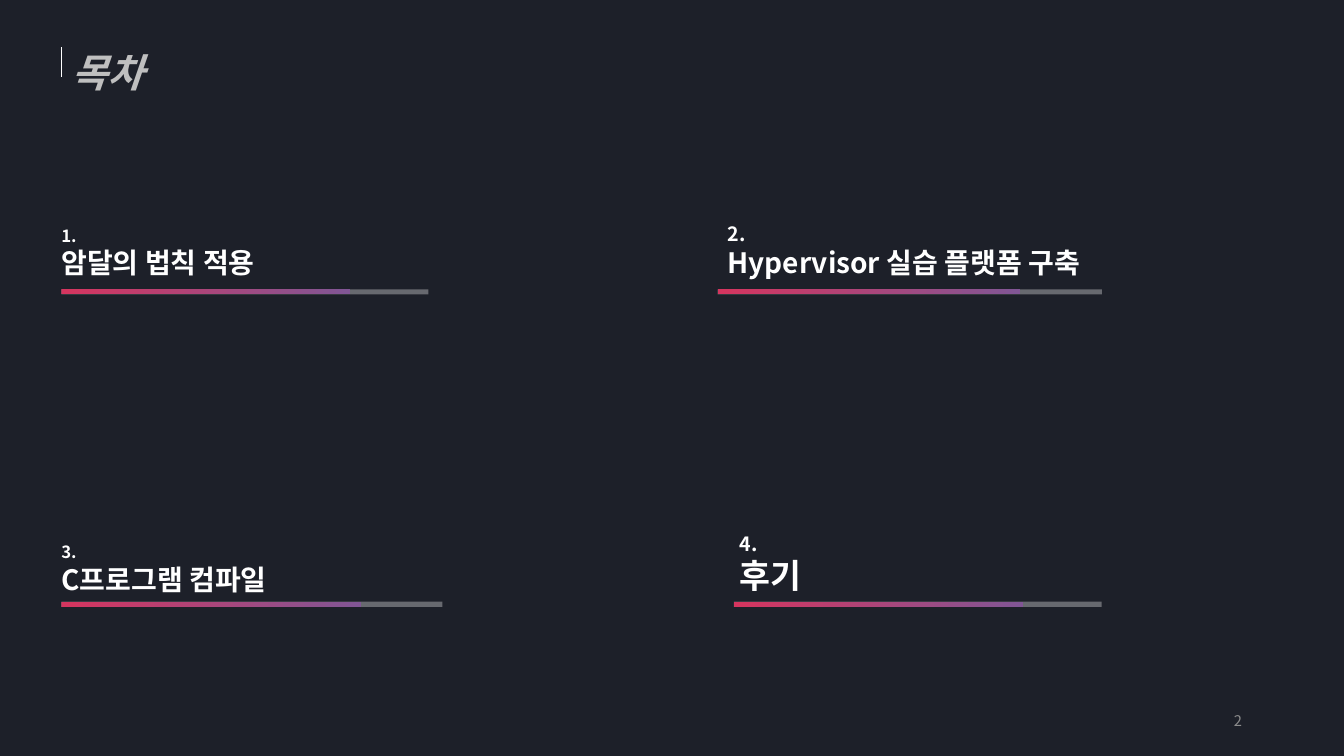
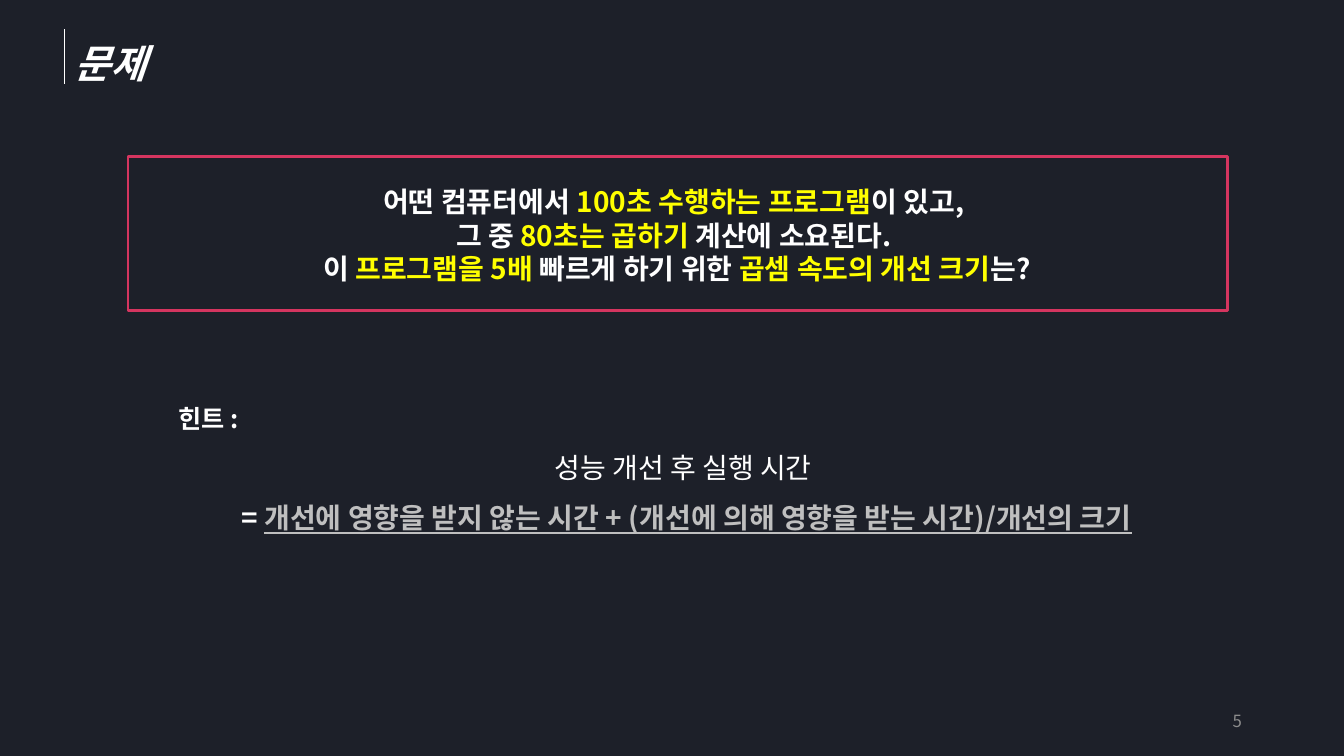
from lxml.etree import SubElement
from pptx import Presentation
from pptx.dml.color import RGBColor
from pptx.enum.shapes import MSO_CONNECTOR, MSO_SHAPE
from pptx.enum.text import MSO_ANCHOR, PP_ALIGN
from pptx.oxml.ns import qn
from pptx.util import Inches, Pt

WIDTH, HEIGHT = Inches(13.333), Inches(7.5)
FONT = "Noto Sans CJK KR"
NIGHT = RGBColor(0x1D, 0x20, 0x29)
WHITE = RGBColor(0xFF, 0xFF, 0xFF)
SILVER = RGBColor(0xBF, 0xBF, 0xBF)
GREY = RGBColor(0x8C, 0x8C, 0x8C)
YELLOW = RGBColor(0xFF, 0xFF, 0x00)
ROSE = RGBColor(0xD5, 0x35, 0x5F)
PURPLE = RGBColor(0x81, 0x56, 0x95)
LOOSE = 1.5
BAR_HEIGHT = 0.67
BAR_DONE = 0.787


def across(percent):
    return round(WIDTH * percent / 100)


def down(percent):
    return round(HEIGHT * percent / 100)


def area(left, top, width, height):
    """Turn percentages of the slide into a position and a size."""
    return across(left), down(top), across(width), down(height)


def add_page(deck):
    page = deck.slides.add_slide(deck.slide_layouts[6])
    page.background.fill.solid()
    page.background.fill.fore_color.rgb = NIGHT
    return page


def add_text(page, place, anchor=MSO_ANCHOR.TOP):
    frame = page.shapes.add_textbox(*area(*place)).text_frame
    frame.word_wrap = True
    frame.vertical_anchor = anchor
    return frame


def add_para(frame, spans, size, bold=True, italic=False,
             align=PP_ALIGN.LEFT, spacing=1.0):
    """Write spans of (text, colour) or (text, colour, underline)."""
    first = frame.paragraphs[0]
    para = frame.add_paragraph() if first.runs else first
    para.alignment = align
    para.line_spacing = spacing
    for text, colour, *underline in spans:
        span = para.add_run()
        span.text = text
        font = span.font
        font.name, font.size = FONT, Pt(size)
        font.bold, font.italic = bold, italic
        font.underline = bool(underline and underline[0])
        font.color.rgb = colour
        SubElement(font._element, qn("a:ea")).set("typeface", FONT)


def add_title(page, text, colour, left, top, rule_top, rule_bottom):
    frame = add_text(page, (left, top, 34.7, 9.6))
    add_para(frame, [(text, colour)], 28, italic=True, spacing=LOOSE)
    rule = page.shapes.add_connector(
        MSO_CONNECTOR.STRAIGHT, across(left), down(rule_top),
        across(left), down(rule_bottom))
    rule.line.color.rgb = WHITE
    rule.line.width = Pt(0.5)
    SubElement(rule._element.spPr, qn("a:effectLst"))


def add_page_number(page, number, size):
    frame = add_text(page, (70.65, 92.67, 22.5, 5.33), MSO_ANCHOR.MIDDLE)
    add_para(frame, [(number, GREY)], size, bold=False, align=PP_ALIGN.RIGHT)


def add_box(shapes, place):
    box = shapes.add_shape(MSO_SHAPE.RECTANGLE, *area(*place))
    box.shadow.inherit = False
    box.line.fill.background()
    return box


def add_bar(page, left, top, width):
    """Draw a faint track with a gradient over its first part."""
    shapes = page.shapes.add_group_shape().shapes
    track = add_box(shapes, (left, top, width, BAR_HEIGHT))
    track.fill.solid()
    track.fill.fore_color.rgb = WHITE
    colour = track._element.spPr.find(".//" + qn("a:srgbClr"))
    SubElement(colour, qn("a:alpha")).set("val", "33000")

    done = add_box(shapes, (left, top, width * BAR_DONE, BAR_HEIGHT))
    done.fill.gradient()
    done.fill.gradient_angle = 0
    for stop, shade in zip(done.fill.gradient_stops, (ROSE, PURPLE)):
        stop.color.rgb = shade


def add_chapter(page, number, name, place, sizes, bar):
    frame = add_text(page, place)
    add_para(frame, [(number, WHITE)], sizes[0], spacing=LOOSE)
    add_para(frame, [(name, WHITE)], sizes[1])
    add_bar(page, *bar)


def build_contents(deck):
    page = add_page(deck)
    upper, lower = 38.27, 79.6
    chapters = [
        ("1.", "암달의 법칙 적용", (3.83, 27.87, 47.18, 9.87), (12, 20),
         (4.57, upper, 27.3)),
        ("2.", "Hypervisor 실습 플랫폼 구축", (53.4, 27.2, 40.8, 10.53), (14, 20),
         (53.4, upper, 28.58)),
        ("3.", "C프로그램 컴파일", (3.83, 69.73, 47.18, 9.87), (12, 20),
         (4.57, lower, 28.35)),
        ("4.", "후기", (54.3, 68.13, 44.33, 11.47), (14, 24),
         (54.6, lower, 27.38)),
    ]
    for chapter in chapters:
        add_chapter(page, *chapter)
    add_title(page, "목차", SILVER, 4.57, 2.67, 6.27, 10.13)
    add_page_number(page, "2", 10.5)


def build_problem(deck):
    page = add_page(deck)
    add_title(page, "문제", WHITE, 4.8, 1.47, 3.87, 11.07)

    border = add_box(page.shapes, (9.53, 20.67, 81.83, 20.4))
    border.fill.background()
    border.line.color.rgb = ROSE
    border.line.width = Pt(2)

    question = add_text(page, (10.5, 23.73, 79.73, 14.8))
    for spans in (
        [("어떤 컴퓨터에서 ", WHITE), ("100초 수행하는 프로그램", YELLOW),
         ("이 있고, ", WHITE)],
        [("그 중 ", WHITE), ("80초는 곱하기 ", YELLOW),
         ("계산에 소요된다. ", WHITE)],
        [("이 ", WHITE), ("프로그램을 5배", YELLOW),
         (" 빠르게 하기 위한 ", WHITE), ("곱셈 속도의 개선 크기", YELLOW),
         ("는?", WHITE)],
    ):
        add_para(question, spans, 20, align=PP_ALIGN.CENTER)

    hint = add_text(page, (12.53, 50.67, 77.1, 20.93))
    add_para(hint, [("힌트 :", WHITE)], 18, spacing=LOOSE)
    add_para(hint, [("성능 개선 후 실행 시간 ", WHITE)], 20, bold=False,
             align=PP_ALIGN.CENTER, spacing=LOOSE)
    formula = "개선에 영향을 받지 않는 시간 + (개선에 의해 영향을 받는 시간)/개선의 크기"
    add_para(hint, [("= ", WHITE), (formula, SILVER, True)], 20,
             align=PP_ALIGN.CENTER, spacing=LOOSE)
    add_page_number(page, "5", 12)


def main():
    deck = Presentation()
    deck.slide_width, deck.slide_height = WIDTH, HEIGHT
    build_contents(deck)
    build_problem(deck)
    deck.save("out.pptx")


if __name__ == "__main__":
    main()
